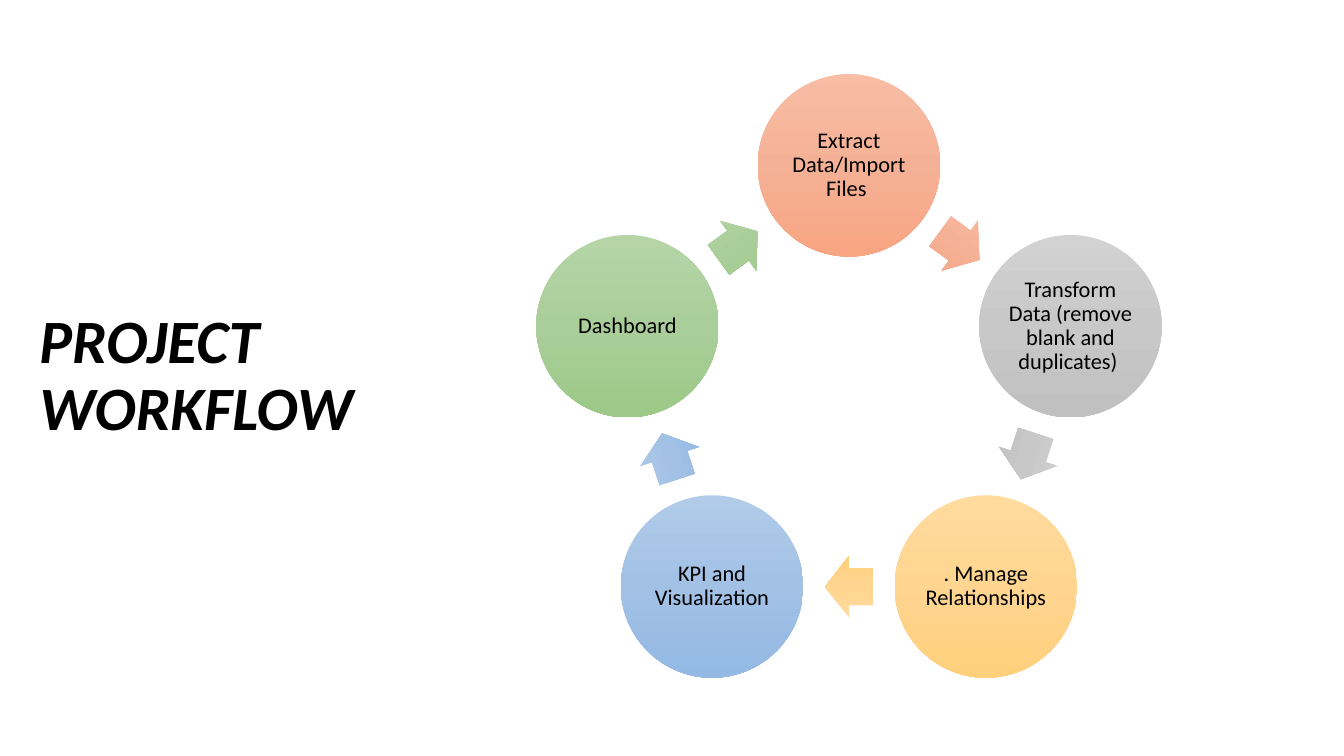
from copy import deepcopy
from math import cos, radians, sin

from pptx import Presentation
from pptx.dml.color import RGBColor
from pptx.enum.shapes import MSO_SHAPE as SHAPE
from pptx.enum.text import MSO_ANCHOR as ANCHOR, MSO_AUTO_SIZE as AUTO, PP_ALIGN as ALIGN
from pptx.util import Emu, Pt

PX = 9144
CENTER_X, CENTER_Y = 842, 395
STEP_RADIUS, ARROW_RADIUS = 231, 187
CIRCLE, ARROW_W, ARROW_H = 181, 48, 61
STEPS = [
    ("Extract Data/Import Files ", ("F7BDA5", "F5B196", "F8A582")),
    ("Transform Data (remove blank and duplicates) ", ("D2D2D2", "C8C8C8", "C0C0C0")),
    (". Manage Relationships ", ("FFDB9E", "FFD590", "FFD07C")),
    ("KPI and Visualization", ("B1CBE9", "A3C1E5", "93B9E4")),
    ("Dashboard", ("B5D5A7", "AACE9A", "9CC987")),
]


def px(n):
    """Convert px to EMU."""
    return Emu(round(n * PX))


def rgb(color):
    """Convert a hex string to a colour."""
    return RGBColor.from_string(color)


def add_text(tf, text, size, align, bold=False, italic=False):
    """Write one formatted run into the first paragraph."""
    tf.word_wrap = True
    tf.auto_size = AUTO.NONE
    p = tf.paragraphs[0]
    p.alignment = align
    p.line_spacing = 0.9
    r = p.add_run()
    r.text = text
    r.font.name = "Calibri"
    r.font.size = Pt(size)
    r.font.bold = bold
    r.font.italic = italic
    r.font.color.rgb = rgb("000000")


def add_title(s, text):
    """Place the slide title on the left."""
    title = s.shapes.title
    title.left, title.top, title.width, title.height = map(px, (29, 303, 389, 143))
    title.text_frame.vertical_anchor = ANCHOR.TOP
    add_text(title.text_frame, text, 44, ALIGN.JUSTIFY, bold=True, italic=True)
    title.text_frame.paragraphs[0].space_after = Pt(6)


def fill_gradient(sp, colors):
    """Fill a shape with a three-stop gradient from top to bottom."""
    sp.fill.gradient()
    sp.fill.gradient_angle = 270
    first = sp._element.spPr.gradFill.gsLst[0]
    middle = deepcopy(first)
    middle.set("pos", "50000")
    first.addnext(middle)
    for stop, color in zip(sp.fill.gradient_stops, colors):
        stop.color.rgb = rgb(color)


def add_ring_shape(s, kind, angle, radius, w, h, colors):
    """Centre a gradient shape on the ring, clockwise from the top."""
    x = CENTER_X + radius * sin(radians(angle))
    y = CENTER_Y - radius * cos(radians(angle))
    sp = s.shapes.add_shape(kind, px(x - w / 2), px(y - h / 2), px(w), px(h))
    sp.shadow.inherit = False
    sp.line.fill.background()
    fill_gradient(sp, colors)
    return sp


def add_step(s, angle, text, colors):
    """Add a labelled circle."""
    sp = add_ring_shape(s, SHAPE.OVAL, angle, STEP_RADIUS, CIRCLE, CIRCLE, colors)
    tf = sp.text_frame
    tf.margin_left = tf.margin_right = tf.margin_top = tf.margin_bottom = px(2)
    tf.vertical_anchor = ANCHOR.MIDDLE
    add_text(tf, text, 16, ALIGN.CENTER)


def add_arrow(s, angle, colors):
    """Add an arrow that points along the ring."""
    sp = add_ring_shape(s, SHAPE.RIGHT_ARROW, angle, ARROW_RADIUS, ARROW_W, ARROW_H, colors)
    sp.adjustments[0] = 0.6
    sp.adjustments[1] = 0.5
    sp.rotation = angle


def main():
    """Build the workflow slide."""
    prs = Presentation()
    prs.slide_width, prs.slide_height = px(1333), px(750)
    s = prs.slides.add_slide(prs.slide_layouts[5])
    add_title(s, "PROJECT WORKFLOW")
    turn = 360 / len(STEPS)
    for i, (text, colors) in enumerate(STEPS):
        add_step(s, i * turn, text, colors)
        add_arrow(s, (i + 0.5) * turn, colors)
    prs.save("out.pptx")


if __name__ == "__main__":
    main()
